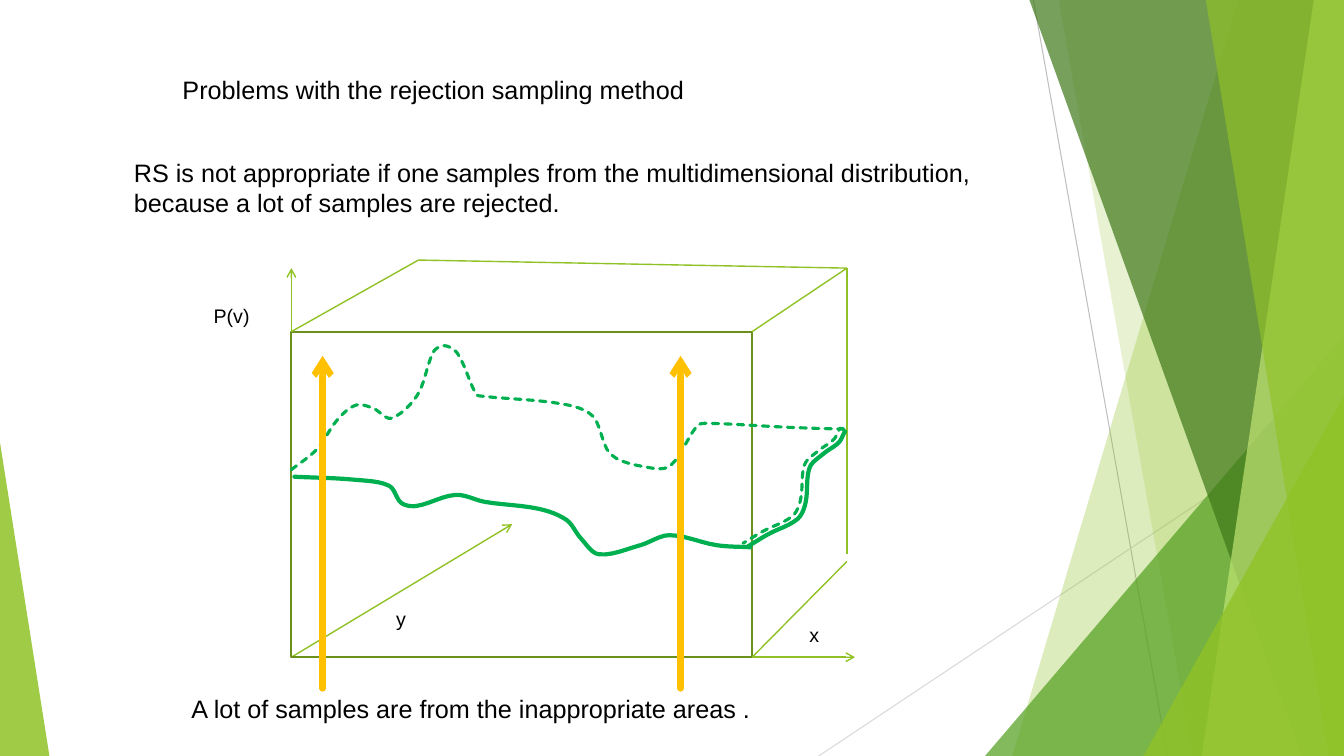
from dataclasses import dataclass
from math import dist
from lxml.etree import SubElement
from pptx import Presentation
from pptx.dml.color import RGBColor
from pptx.enum.dml import MSO_LINE
from pptx.enum.shapes import MSO_CONNECTOR, MSO_SHAPE
from pptx.enum.text import MSO_ANCHOR, MSO_AUTO_SIZE, PP_ALIGN
from pptx.oxml.ns import qn
from pptx.util import Inches, Pt


@dataclass(frozen=True)
class Theme:
    font: str = "Arial"
    body: int = 18
    label: int = 14
    text: str = "000000"
    lime: str = "90C226"
    pale: str = "C0E474"
    leaf: str = "54A021"
    forest: str = "3F7819"
    olive: str = "6B901C"
    curve: str = "00B050"
    sample: str = "FFC000"
    hairline: str = "BFBFBF"
    faint: str = "D9D9D9"


@dataclass(frozen=True)
class Box:
    x: float
    y: float
    w: float
    h: float

    def at(self, x, y):
        return Inches(self.x + x), Inches(self.y + y)


T = Theme()


def smooth(knots, steps=6):
    spans = [dist(a, b) for a, b in zip(knots, knots[1:])]
    last = len(knots) - 1

    def slope(i, axis):
        lo, hi = max(i - 1, 0), min(i + 1, last)
        return (knots[hi][axis] - knots[lo][axis]) / sum(spans[lo:hi])

    def point(i, t, axis):
        start, end = knots[i][axis], knots[i + 1][axis]
        ease = t * t * (3 - 2 * t)
        bend = t * (1 - t) * ((1 - t) * slope(i, axis) - t * slope(i + 1, axis))
        return start + (end - start) * ease + spans[i] * bend

    curve = [(point(i, k / steps, 0), point(i, k / steps, 1))
             for i in range(last) for k in range(steps)]
    return curve + [knots[-1]]


def apply(obj, values):
    for name, value in values.items():
        setattr(obj, name, value)


def style(sp, fill=None, alpha=100, line=None, width=1, dash=None):
    sp.shadow.inherit = False
    if fill:
        sp.fill.solid()
        sp.fill.fore_color.rgb = RGBColor.from_string(fill)
        clr = sp.fill._xPr.find(qn("a:solidFill"))[0]
        SubElement(clr, qn("a:alpha"), val=str(alpha * 1000))
    else:
        sp.fill.background()
    if line:
        sp.line.color.rgb = RGBColor.from_string(line)
        apply(sp.line, {"width": Pt(width), "dash_style": dash})
    else:
        sp.line.fill.background()


def add_line(s, box, start, end, color, width=1, arrow=False, cap="flat"):
    c = s.shapes.add_connector(MSO_CONNECTOR.STRAIGHT, *box.at(*start), *box.at(*end))
    c.line.color.rgb = RGBColor.from_string(color)
    c.line.width = Pt(width)
    ln = c.line._get_or_add_ln()
    ln.set("cap", cap)
    if arrow:
        SubElement(ln, qn("a:tailEnd"), type="arrow")
    SubElement(c._element.spPr, qn("a:effectLst"))


def add_outline(s, box, points, close=False, **look):
    first, *rest = [box.at(*pt) for pt in points]
    fb = s.shapes.build_freeform(*first)
    fb.add_line_segments(rest, close=close)
    sp = fb.convert_to_shape()
    style(sp, **look)
    return sp


def add_curve(s, box, points, width, dash=None):
    sp = add_outline(s, box, points, line=T.curve, width=width, dash=dash)
    sp.line._get_or_add_ln().set("cap", "rnd")


def add_preset(s, box, kind, x, y, w, h, **look):
    sp = s.shapes.add_shape(kind, *box.at(x, y), Inches(w), Inches(h))
    style(sp, **look)
    return sp


def write(sp, text, size):
    tf = sp.text_frame
    apply(tf, {"text": text, "word_wrap": True, "vertical_anchor": MSO_ANCHOR.TOP,
               "auto_size": MSO_AUTO_SIZE.NONE})
    p = tf.paragraphs[0]
    p.alignment = PP_ALIGN.LEFT
    f = p.runs[0].font
    apply(f, {"name": T.font, "size": Pt(size)})
    f.color.rgb = RGBColor.from_string(T.text)


def add_text(s, box, text, size):
    write(s.shapes.add_textbox(*box.at(0, 0), Inches(box.w), Inches(box.h)), text, size)


def add_title(s, box, text):
    left, top = box.at(0, 0)
    apply(s.shapes.title, {"left": left, "top": top,
                           "width": Inches(box.w), "height": Inches(box.h)})
    write(s.shapes.title, text, T.body)


def add_backdrop(s, box):
    def band(top_left, bottom_left, color, alpha):
        add_outline(s, box, [(top_left, 0), (box.w, 0), (box.w, box.h),
                             (bottom_left, box.h)], close=True, fill=color, alpha=alpha)

    def corner(w, h, color, alpha, right=True):
        x = box.w - w if right else 0
        sp = add_preset(s, box, MSO_SHAPE.ISOSCELES_TRIANGLE, x, box.h - h, w, h,
                        fill=color, alpha=alpha)
        sp.adjustments[0] = int(right)

    add_line(s, box, (10.25, 0), (11.58, box.h), T.hairline, .75)
    add_line(s, box, (box.w, 4.03), (8.12, box.h), T.faint, .75)
    band(12.28, 10.04, T.lime, 30)
    band(10.5, 11.83, T.lime, 20)
    corner(3.56, 4.17, T.leaf, 72)
    band(10.21, 12.91, T.forest, 70)
    band(13.03, 11.92, T.pale, 70)
    band(11.96, 13.18, T.lime, 65)
    corner(1.99, 3.57, T.lime, 80)
    corner(.49, 3.11, T.lime, 85, right=False)


def add_density(s, box):
    first_hill = [(0, 2.08), (.25, 1.88), (.46, 1.58), (.64, 1.44), (.81, 1.47), (.99, 1.57)]
    peak = [(1.25, 1.34), (1.41, .91), (1.52, .85), (1.65, .93), (1.83, 1.33)]
    plateau = [(1.88, 1.35), (2.7, 1.43), (2.99, 1.55)]
    valley = [(3.17, 1.93), (3.55, 2.06), (3.76, 2.04)]
    shelf = [(4.02, 1.65), (4.1, 1.62), (4.93, 1.66), (box.w, 1.68)]
    front = [(.03, 2.15), (.63, 2.18), (.97, 2.24), (1.09, 2.41), (1.24, 2.44),
             (1.63, 2.33), (1.92, 2.4), (2.46, 2.47), (2.73, 2.58), (2.87, 2.76),
             (3.05, 2.92), (3.46, 2.83), (3.75, 2.73), (4.22, 2.83), (4.55, 2.85)]
    side = [(4.53, 2.84), (4.73, 2.72), (5.02, 2.57), (5.1, 2.41),
            (5.14, 2.06), (5.28, 1.92), (5.43, 1.81), (5.49, 1.7)]
    side_shadow = [(x - .05, y - .03) for x, y in reversed(side)]
    back = first_hill + peak + plateau + valley + shelf
    add_curve(s, box, smooth(back) + smooth(side_shadow), 2.25, MSO_LINE.SQUARE_DOT)
    for knots in (front, side):
        add_curve(s, box, smooth(knots), 3)


def add_cube(s, box):
    front_w, front_top, back_top = 4.57, .71, .08
    origin = (0, box.h)
    up, across, inward = (0, back_top), (5.59, box.h), (2.19, 2.62)
    for tip in (up, across, inward):
        add_line(s, box, origin, tip, T.lime, arrow=True)
    add_preset(s, box, MSO_SHAPE.RECTANGLE, 0, front_top, front_w, box.h - front_top,
               line=T.olive, width=1.5)
    back_left, back_right = (1.26, 0), (box.w, back_top)
    edges = {"left depth": ((0, front_top), back_left),
             "right depth": ((front_w, front_top), back_right),
             "back": (back_left, back_right),
             "floor depth": ((front_w, box.h), (box.w, 2.99)),
             "back upright": (back_right, (box.w, 2.92))}
    for start, end in edges.values():
        add_line(s, box, start, end, T.lime)


def add_axis_labels(s, box):
    for text, x, y in [("P(v)", -.87, .39), ("x", 5.04, 3.55), ("y", .94, 3.39)]:
        add_text(s, Box(box.x + x, box.y + y, .71, .34), text, T.label)


def add_samples(s, box):
    top, bottom = .95, box.h + .31
    for x in (.31, 3.86):
        add_line(s, box, (x, bottom), (x, top), T.sample, 4.5, arrow=True, cap="rnd")


def main():
    prs = Presentation()
    apply(prs, {"slide_width": Inches(13.33), "slide_height": Inches(7.5)})
    s = prs.slides.add_slide(prs.slide_layouts[5])
    add_backdrop(s, Box(0, 0, 13.33, 7.5))
    add_title(s, Box(1.71, .69, 8.03, .4), "Problems with the rejection sampling method")
    add_text(s, Box(1.23, 1.51, 8.66, .71),
             "RS is not appropriate if one samples from the multidimensional distribution, "
             "because a lot of samples are rejected.", T.body)
    diagram = Box(2.89, 2.58, 5.51, 3.94)
    for add_part in (add_cube, add_density, add_axis_labels, add_samples):
        add_part(s, diagram)
    add_text(s, Box(1.8, 6.83, 7.56, .4),
             "A lot of samples are from the inappropriate areas .", T.body)
    prs.save("out.pptx")


if __name__ == "__main__":
    main()
